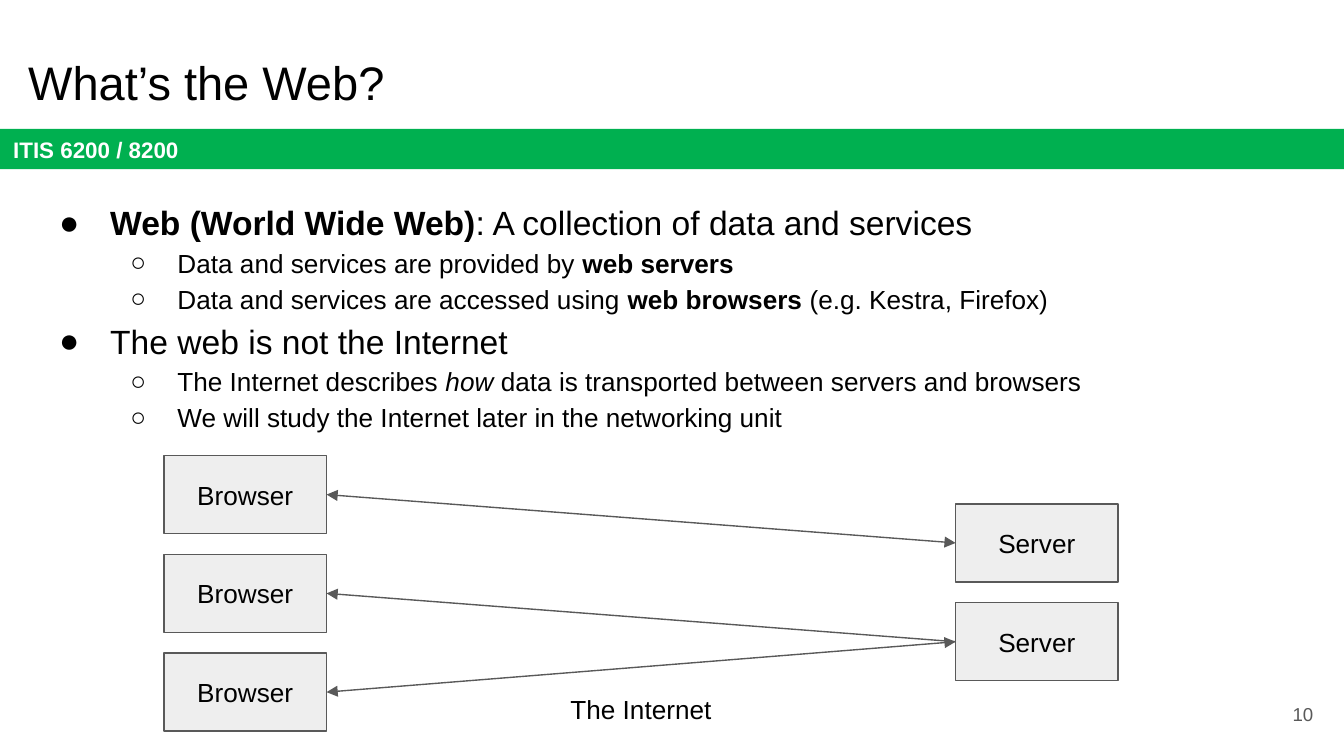
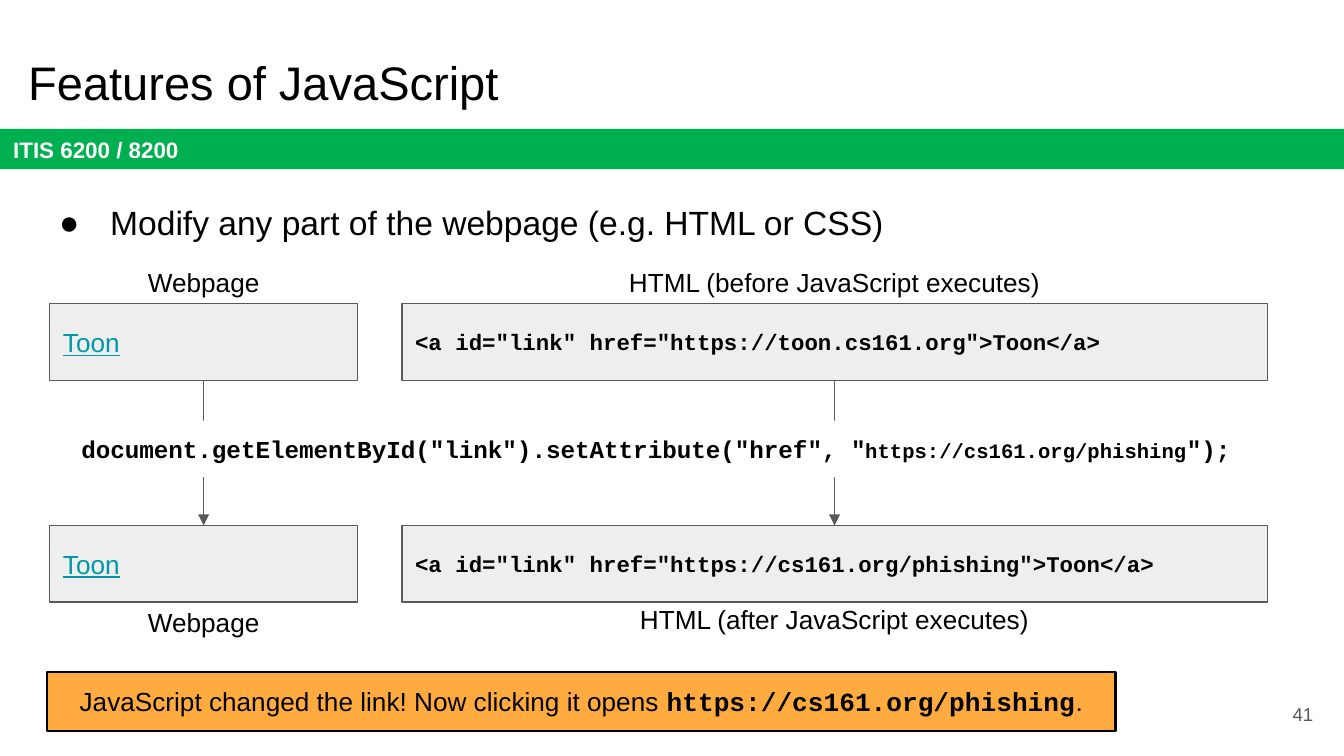
"""Build two slides on the web and on JavaScript."""
from lxml import etree
from pptx import Presentation
from pptx.dml.color import RGBColor
from pptx.enum import shapes, text
from pptx.oxml import ns
from pptx.util import Inches, Pt

SANS, MONO = "Arial", "Courier New"
BLACK, WHITE, GREEN = "000000", "FFFFFF", "00B050"
GREY, PALE, AMBER, TEAL = "595959", "EEEEEE", "FFAB40", "0097A7"
LEFT, MID, RIGHT = text.PP_ALIGN.LEFT, text.PP_ALIGN.CENTER, text.PP_ALIGN.RIGHT
TOP, HALF = text.MSO_ANCHOR.TOP, text.MSO_ANCHOR.MIDDLE
BOLD, ITALIC = {"bold": True}, {"italic": True}
LEVELS = [("●", 0.5, -0.38, 18), ("○", 1, -0.35, 14)]


def color(code):
    """Turn a hex string into a colour."""
    return RGBColor.from_string(code)


def node(parent, tag, **attrs):
    """Append a drawing element to a parent."""
    return etree.SubElement(parent, ns.qn("a:" + tag), attrs)


def style(font, **marks):
    """Set the given marks on a font."""
    for key, value in marks.items():
        setattr(font, key, value)


def write(para, parts, size=14, hue=BLACK, face=SANS, align=LEFT, **marks):
    """Fill a paragraph with a string or with (text, marks) runs."""
    para.alignment = align
    style(para.font, size=Pt(size), name=face, **marks)
    para.font.color.rgb = color(hue)
    for words, extra in [(parts, {})] if isinstance(parts, str) else parts:
        run = para.add_run()
        run.text = words
        style(run.font, **extra)


def setup(frame, anchor):
    """Give a text frame its margins, wrap and anchor."""
    frame.word_wrap = True
    frame.auto_size = text.MSO_AUTO_SIZE.NONE
    frame.vertical_anchor = anchor
    for side in ("left", "top", "right", "bottom"):
        setattr(frame, "margin_" + side, Inches(0.1))


def place(holder, at):
    """Move a placeholder and return its text frame."""
    holder.left, holder.top, holder.width, holder.height = map(Inches, at)
    setup(holder.text_frame, TOP)
    return holder.text_frame


def label(slide, at, words, anchor=TOP, align=MID, **marks):
    """Add a plain text box."""
    box = slide.shapes.add_textbox(*map(Inches, at))
    setup(box.text_frame, anchor)
    write(box.text_frame.paragraphs[0], words, align=align, **marks)


def block(slide, at, words, fill=PALE, line=GREY, width=0.75,
          anchor=HALF, align=LEFT, **marks):
    """Add a filled rectangle with text."""
    box = slide.shapes.add_shape(shapes.MSO_SHAPE.RECTANGLE, *map(Inches, at))
    box.shadow.inherit = False
    box.fill.solid()
    box.fill.fore_color.rgb = color(fill)
    if line:
        box.line.color.rgb = color(line)
        box.line.width = Pt(width)
    else:
        box.line.fill.background()
    setup(box.text_frame, anchor)
    write(box.text_frame.paragraphs[0], words, align=align, **marks)
    return box


def arrow(slide, start, out, end, into, tips):
    """Join two boxes with an arrow."""
    link = slide.shapes.add_connector(shapes.MSO_CONNECTOR.STRAIGHT, 0, 0, 0, 0)
    link.begin_connect(start, out)
    link.end_connect(end, into)
    link.line.color.rgb = color(GREY)
    link.line.width = Pt(0.75)
    for tip in tips:
        node(link.line._get_or_add_ln(), tip, type="triangle")
    node(link._element.spPr, "effectLst")


def bullet(para, level, parts):
    """Format a list item at its level."""
    mark, margin, indent, size = LEVELS[level]
    para.level = level
    props = para._p.get_or_add_pPr()
    props.set("marL", str(Inches(margin)))
    props.set("indent", str(Inches(indent)))
    node(node(props, "buClr"), "srgbClr", val=BLACK)
    node(props, "buFont", typeface=SANS)
    node(props, "buChar", char=mark)
    para.line_spacing = 1.15
    para.space_before = Pt(0)
    write(para, parts, size=size)


def page(deck, title, number, items, height):
    """Add a slide with title, band, list and page number."""
    slide = deck.slides.add_slide(deck.slide_layouts[1])
    block(slide, (0, 0.96, 10, 0.3), "ITIS 6200 / 8200", GREEN, None,
          size=12, hue=WHITE, bold=True)
    head, body = slide.placeholders
    frame = place(head, (0.11, 0.3, 9.32, 0.63))
    write(frame.paragraphs[0], title, size=25.2)
    frame = place(body, (0.22, 1.36, 9.32, height))
    for spot, (level, parts) in enumerate(items):
        para = frame.add_paragraph() if spot else frame.paragraphs[0]
        bullet(para, level, parts)
    label(slide, (9.27, 5.1, 0.6, 0.43), number, HALF, RIGHT, size=10, hue=GREY)
    return slide


def web(deck):
    """Show browsers and servers joined by the Internet."""
    items = [
        (0, [("Web (World Wide Web)", BOLD),
             (": A collection of data and services", {})]),
        (1, [("Data and services are provided by ", {}), ("web servers", BOLD)]),
        (1, [("Data and services are accessed using ", {}), ("web browsers", BOLD),
             (" (e.g. Kestra, Firefox)", {})]),
        (0, "The web is not the Internet"),
        (1, [("The Internet describes ", {}), ("how", ITALIC),
             (" data is transported between servers and browsers", {})]),
        (1, "We will study the Internet later in the networking unit"),
    ]
    slide = page(deck, "What’s the Web?", "10", items, 2.23)

    def stack(left, top, count, name):
        """Add a column of equal boxes."""
        return [block(slide, (left, top + 0.735 * row, 1.21, 0.58), name, align=MID)
                for row in range(count)]

    clients = stack(1.22, 3.39, 3, "Browser")
    hosts = stack(7.11, 3.75, 2, "Server")
    both = ("headEnd", "tailEnd")
    for client, host, tips in zip(clients, (hosts[0], hosts[1], hosts[1]),
                                  (both, both[:1], both)):
        arrow(slide, client, 3, host, 1, tips)
    label(slide, (2.43, 5.06, 4.68, 0.44), "The Internet")


def script(deck):
    """Show how a script changes a link."""
    slide = page(deck, "Features of JavaScript", "41",
                 [(0, "Modify any part of the webpage (e.g. HTML or CSS)")], 0.57)
    url = "https://cs161.org/phishing"
    rows = [(2.26, 1.88, 1.88, "before", "https://toon.cs161.org"),
            (3.91, 4.41, 4.39, "after", url)]
    views, codes = [], []
    for top, near, far, when, href in rows:
        views.append(block(slide, (0.37, top, 2.29, 0.57), "Toon",
                           hue=TEAL, underline=True))
        label(slide, (0.37, near, 2.29, 0.44), "Webpage")
        codes.append(block(slide, (2.99, top, 6.44, 0.57),
                           f'<a id="link" href="{href}">Toon</a>',
                           size=12, face=MONO, bold=True))
        label(slide, (2.99, far, 6.44, 0.44), f"HTML ({when} JavaScript executes)")
    for old, new in (views, codes):
        arrow(slide, old, 2, new, 0, ("tailEnd",))
    call = [('document.getElementById("link").setAttribute("href", "', {}),
            (url, {"size": Pt(11)}), ('");', {})]
    block(slide, (0.35, 3.13, 9.06, 0.42), call, WHITE, None, anchor=TOP,
          align=MID, size=13, face=MONO, bold=True)
    note = [("JavaScript changed the link! Now clicking it opens ", {}),
            (url, {"name": MONO, "bold": True}), (".", {})]
    block(slide, (0.35, 5, 7.95, 0.44), note, AMBER, BLACK, 1.5, TOP, MID)


def main():
    """Build and save the deck."""
    deck = Presentation()
    deck.slide_width = Inches(10)
    deck.slide_height = deck.slide_width * 9 // 16
    web(deck)
    script(deck)
    deck.save("out.pptx")


if __name__ == "__main__":
    main()
